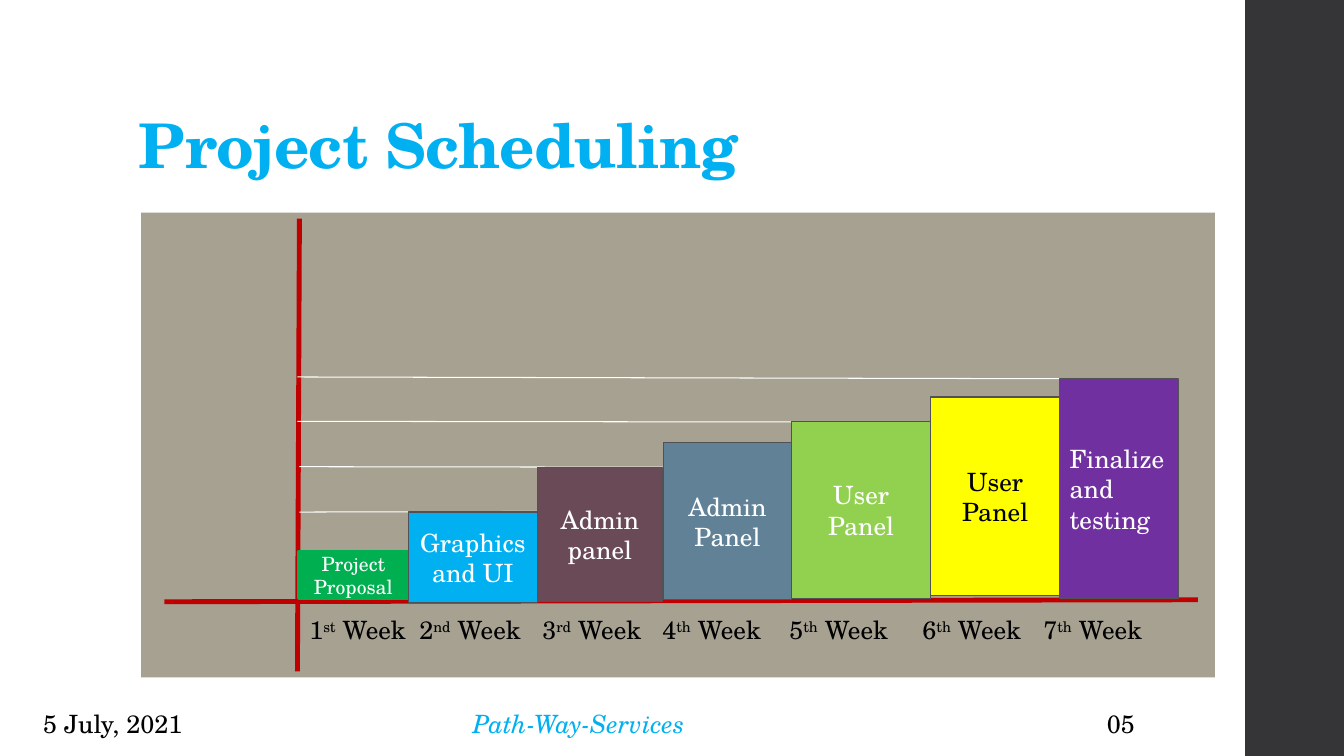
from typing import NamedTuple

from lxml.etree import SubElement
from pptx import Presentation
from pptx.dml.color import RGBColor
from pptx.enum.shapes import MSO_CONNECTOR, MSO_SHAPE
from pptx.enum.text import MSO_ANCHOR as ANCHOR, PP_ALIGN as ALIGN
from pptx.oxml.ns import qn
from pptx.util import Pt

PX = 9144  # EMU per px, 100 px to the inch
FONT = "TeX Gyre Schola"
COLORS = {
    "white": "FFFFFF", "black": "000000", "side": "353537", "panel": "A7A192",
    "axis": "C00000", "outline": "525256", "sky": "00B0F0", "green": "00B050",
    "plum": "6A4A57", "steel": "618197", "lime": "92D050", "yellow": "FFFF00",
    "purple": "7030A0",
}


class Box(NamedTuple):
    x: int
    y: int
    w: int
    h: int


class Line(NamedTuple):
    x1: int
    y1: int
    x2: int
    y2: int
    color: str
    width: float


class Bar(NamedTuple):
    text: str
    box: Box
    fill: str
    color: str = "white"
    size: int = 18
    outline: str = "outline"
    width: float = 1.1
    align: ALIGN = ALIGN.CENTER


class Label(NamedTuple):
    text: str
    box: Box
    color: str = "black"
    italic: bool = False


class Week(NamedTuple):
    number: str
    suffix: str
    tab: int  # distance from the start of the row


LINES = [
    Line(297, 217, 295, 666, "axis", 3.5),
    Line(163, 597, 1188, 595, "axis", 3.5),
    Line(296, 547, 1050, 547, "white", 0.75),
    Line(297, 508, 1051, 506, "white", 0.75),
    Line(297, 463, 1051, 464, "white", 0.75),
    Line(295, 418, 1050, 419, "white", 0.75),
    Line(295, 374, 1169, 376, "white", 0.75),
]
BARS = [
    Bar("Project Proposal", Box(296, 547, 109, 47), "green", size=14,
        outline="green", width=2),
    Bar("Graphics and UI", Box(405, 508, 128, 90), "sky"),
    Bar("Admin panel", Box(533, 464, 124, 133), "plum"),
    Bar("Admin Panel", Box(658, 439, 127, 156), "steel"),
    Bar("User Panel", Box(785, 418, 138, 176), "lime"),
    Bar("User Panel", Box(923, 394, 128, 197), "yellow", color="black"),
    Bar("Finalize and testing", Box(1051, 376, 118, 218), "purple",
        align=ALIGN.LEFT),
]
FOOTER = [
    Label("5 July, 2021", Box(33, 698, 190, 40)),
    Label("Path-Way-Services", Box(459, 698, 298, 40), "sky", True),
    Label("05", Box(1088, 698, 81, 40)),
]
WEEKS = [
    Week("1", "st", 0), Week("2", "nd", 109), Week("3", "rd", 231),
    Week("4", "th", 350), Week("5", "th", 476), Week("6", "th", 608),
    Week("7", "th", 728),
]


def rgb(name: str) -> RGBColor:
    return RGBColor.from_string(COLORS[name])


def emu(lengths) -> list[int]:
    return [n * PX for n in lengths]


def add_run(p, text: str, size: int = 18, color: str = "black",
            bold: bool = False, italic: bool = False):
    r = p.add_run()
    r.text = text
    f = r.font
    f.name, f.size, f.bold, f.italic = FONT, Pt(size), bold, italic
    f.color.rgb = rgb(color)
    return r


def add_rect(s, box: Box, fill: str):
    sp = s.shapes.add_shape(MSO_SHAPE.RECTANGLE, *emu(box))
    sp.shadow.inherit = False
    sp.fill.solid()
    sp.fill.fore_color.rgb = rgb(fill)
    sp.line.fill.background()
    return sp


def add_text(s, box: Box):
    tf = s.shapes.add_textbox(*emu(box)).text_frame
    tf.word_wrap = True
    return tf


def add_line(s, line: Line) -> None:
    cx = s.shapes.add_connector(MSO_CONNECTOR.STRAIGHT, *emu(line[:4]))
    cx.line.color.rgb = rgb(line.color)
    cx.line.width = Pt(line.width)
    SubElement(cx._element.spPr, qn("a:effectLst"))


def add_bar(s, bar: Bar) -> None:
    sp = add_rect(s, bar.box, bar.fill)
    sp.line.color.rgb = rgb(bar.outline)
    sp.line.width = Pt(bar.width)
    tf = sp.text_frame
    tf.word_wrap = True
    tf.vertical_anchor = ANCHOR.MIDDLE
    p = tf.paragraphs[0]
    p.alignment = bar.align
    add_run(p, bar.text, bar.size, bar.color)


def add_title(s, text: str) -> None:
    tf = add_text(s, Box(128, 40, 1060, 145))
    tf.vertical_anchor = ANCHOR.BOTTOM
    p = tf.paragraphs[0]
    p.line_spacing = 0.9
    r = add_run(p, text, 44, "sky", bold=True)
    r._r.get_or_add_rPr().set("spc", "-50")


def add_weeks(s) -> None:
    p = add_text(s, Box(297, 605, 872, 40)).paragraphs[0]
    tabs = SubElement(p._p.get_or_add_pPr(), qn("a:tabLst"))
    for week in WEEKS:
        if week.tab:
            SubElement(tabs, qn("a:tab"), pos=str(week.tab * PX), algn="l")
        add_run(p, ("\t" if week.tab else "") + week.number)
        r = add_run(p, week.suffix)
        r._r.get_or_add_rPr().set("baseline", "30000")
        add_run(p, " Week")


def main() -> None:
    prs = Presentation()
    prs.slide_width, prs.slide_height = emu((1333, 750))
    s = prs.slides.add_slide(prs.slide_layouts[6])

    # Side band, title and footer
    add_rect(s, Box(1235, 0, 98, 750), "side")
    add_title(s, "Project Scheduling")
    for label in FOOTER:
        p = add_text(s, label.box).paragraphs[0]
        add_run(p, label.text, color=label.color, italic=label.italic)

    # Schedule panel with axes, guides, bars and week labels
    add_rect(s, Box(140, 211, 1065, 461), "panel")
    for line in LINES:
        add_line(s, line)
    for bar in BARS:
        add_bar(s, bar)
    add_weeks(s)

    prs.save("out.pptx")


if __name__ == "__main__":
    main()
